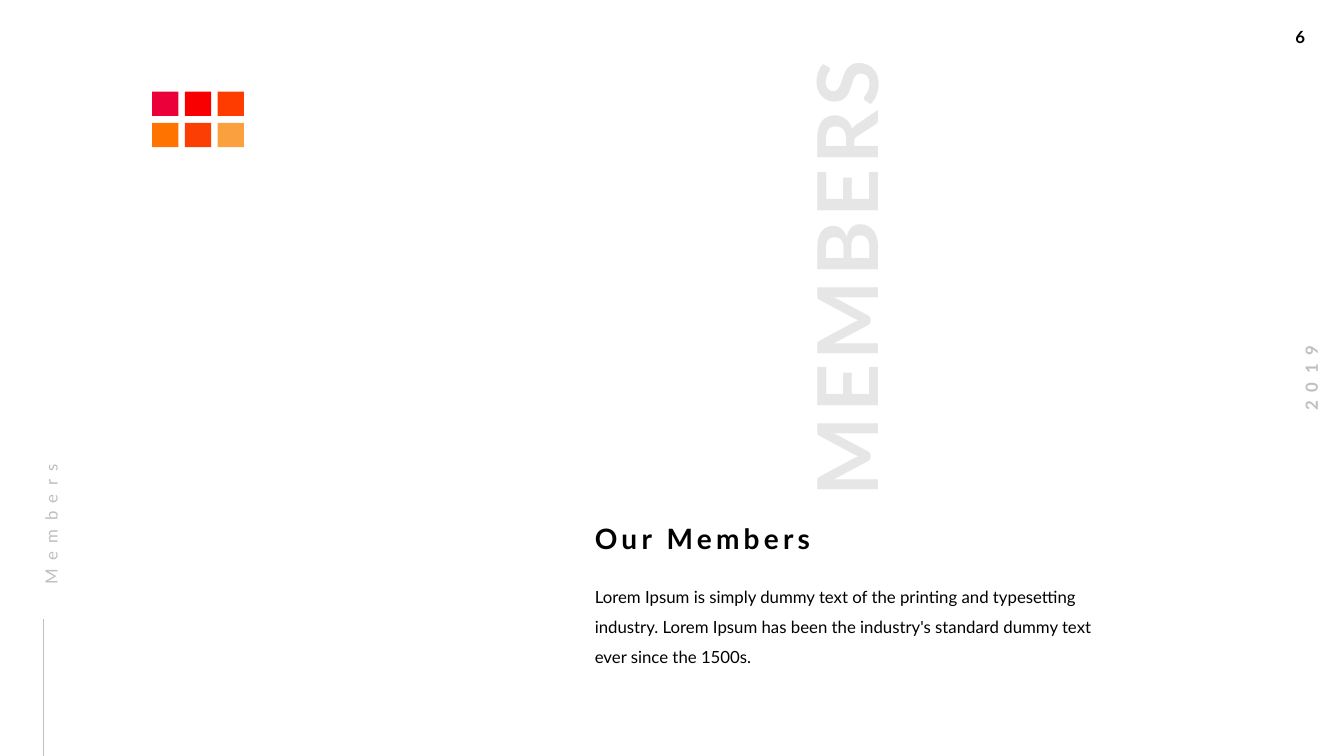
from pptx import Presentation
from pptx.dml.color import RGBColor
from pptx.enum.shapes import MSO_CONNECTOR as Connector, MSO_SHAPE as Shape
from pptx.enum.text import MSO_AUTO_SIZE as AutoSize, PP_ALIGN as Align
from pptx.oxml.ns import qn
from pptx.util import Inches, Pt
from lxml import etree

BLACK = RGBColor(0x00, 0x00, 0x00)
GREY = RGBColor(0xBF, 0xBF, 0xBF)
PALE_GREY = RGBColor(0xE6, 0xE6, 0xE6)
SWATCH_ROWS = (
    (RGBColor(0xEB, 0x00, 0x3A), RGBColor(0xF8, 0x00, 0x01), RGBColor(0xFE, 0x3C, 0x00)),
    (RGBColor(0xFF, 0x73, 0x00), RGBColor(0xFB, 0x3E, 0x03), RGBColor(0xFA, 0xA0, 0x3E)),
)
STANDARD_INSETS = (0.1, 0.05, 0.1, 0.05)
TIGHT_INSETS = (0, 0, 0.1, 0)
NO_INSETS = (0, 0, 0, 0)
DESCRIPTION = (
    "Lorem Ipsum is simply dummy text of the printing and typesetting industry. "
    "Lorem Ipsum has been the industry's standard dummy text ever since the 1500s."
)


def set_attributes(target, values):
    for name, value in values.items():
        setattr(target, name, value)


def add_text(slide, text, box, size=12, color=BLACK, bold=False, tracking=0,
             insets=STANDARD_INSETS, wrap=True, rotation=0, align=Align.LEFT,
             line_spacing=1.0):
    shape = slide.shapes.add_textbox(*map(Inches, box))
    shape.rotation = rotation
    frame = shape.text_frame
    sides = ("margin_left", "margin_top", "margin_right", "margin_bottom")
    set_attributes(frame, dict(zip(sides, map(Inches, insets))))
    set_attributes(frame, {"word_wrap": wrap, "auto_size": AutoSize.SHAPE_TO_FIT_TEXT})
    paragraph = frame.paragraphs[0]
    set_attributes(paragraph, {"alignment": align, "line_spacing": line_spacing})
    run = paragraph.add_run()
    run.text = text
    set_attributes(run.font, {"name": "Lato", "size": Pt(size), "bold": bold})
    run.font.color.rgb = color
    if tracking:
        run.font._element.set("spc", str(tracking * 100))


def add_swatches(slide):
    for row, colors in enumerate(SWATCH_ROWS):
        for column, color in enumerate(colors):
            box = (1.51 + column * 0.325, 0.91 + row * 0.31, 0.26, 0.24)
            swatch = slide.shapes.add_shape(Shape.RECTANGLE, *map(Inches, box))
            swatch.shadow.inherit = False
            swatch.fill.solid()
            swatch.fill.fore_color.rgb = color
            swatch.line.fill.background()


def add_rule(slide, start, end):
    rule = slide.shapes.add_connector(Connector.STRAIGHT, *map(Inches, start + end))
    rule.line.color.rgb = GREY
    rule.line.width = Pt(0.5)
    etree.SubElement(rule._element.spPr, qn("a:effectLst"))


def main():
    presentation = Presentation()
    presentation.slide_width = Inches(13.33)
    presentation.slide_height = Inches(7.5)
    slide = presentation.slides.add_slide(presentation.slide_layouts[6])

    add_text(slide, "6", (12.75, 0.22, 0.41, 0.3), bold=True, wrap=False)
    add_text(slide, "2019", (12.54, 3.6, 0.93, 0.3), color=GREY, bold=True,
             tracking=6, wrap=False, rotation=270, align=Align.CENTER)
    add_text(slide, "MEMBERS", (6.13, 2.26, 4.5, 1), size=60, color=PALE_GREY,
             bold=True, tracking=3, insets=NO_INSETS, wrap=False, rotation=270,
             align=Align.CENTER)
    add_text(slide, DESCRIPTION, (5.9, 5.72, 5.13, 0.87), insets=TIGHT_INSETS,
             line_spacing=1.5)
    add_text(slide, "Our Members", (5.9, 5.17, 2.57, 0.34), size=20, bold=True,
             tracking=3, insets=TIGHT_INSETS)
    add_rule(slide, (0.43, 7.5), (0.43, 6.14))
    add_text(slide, "Members", (-0.49, 4.74, 1.85, 0.26), color=GREY, tracking=6,
             insets=TIGHT_INSETS, rotation=270, line_spacing=1.5)
    add_swatches(slide)

    presentation.save("out.pptx")


if __name__ == "__main__":
    main()
